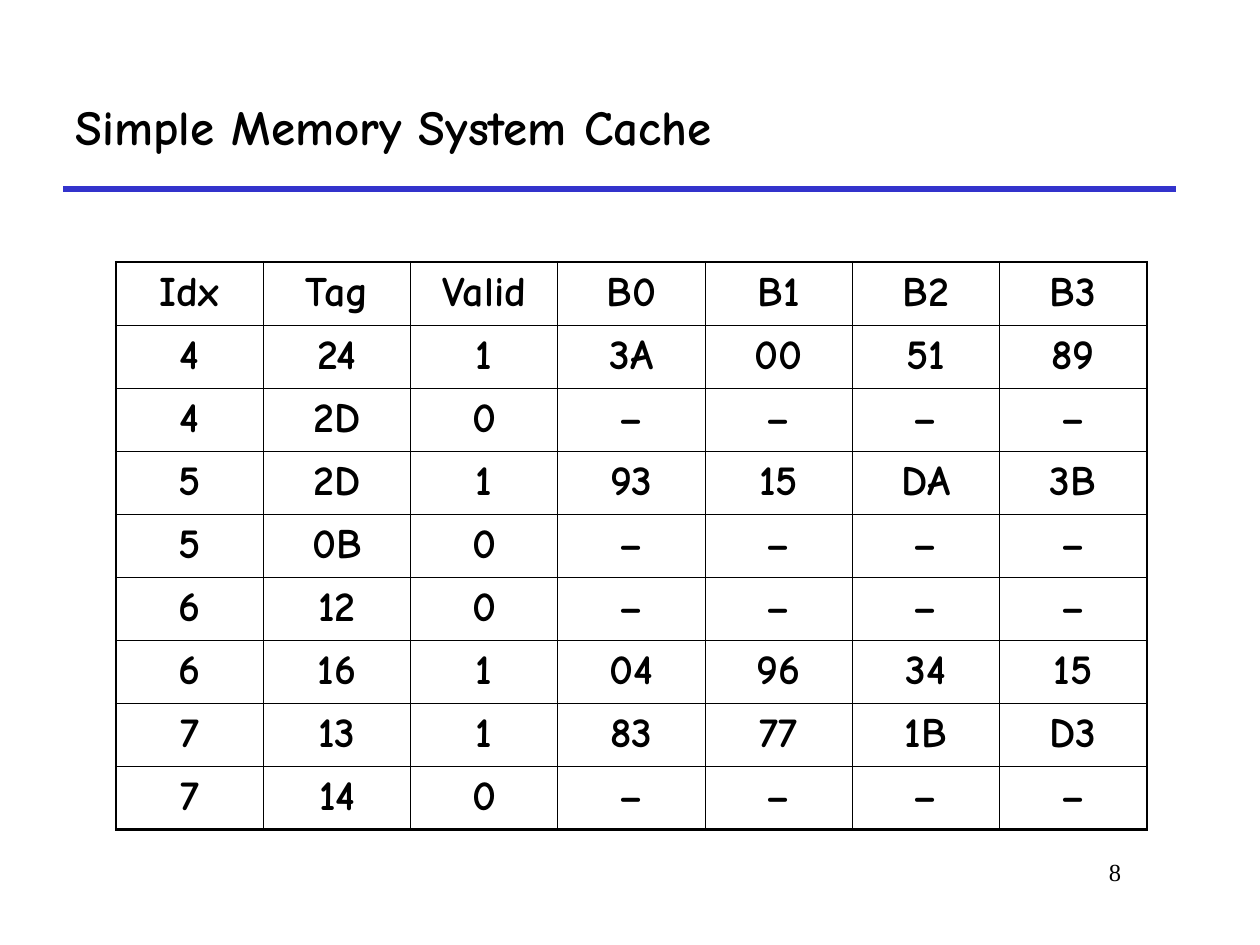
from lxml.etree import SubElement
from pptx import Presentation
from pptx.dml.color import RGBColor
from pptx.enum.shapes import MSO_CONNECTOR
from pptx.enum.text import MSO_ANCHOR, PP_ALIGN
from pptx.oxml.ns import qn
from pptx.util import Cm, Pt

INK = {"text": "000000", "rule": "3333CC"}
COMIC = "Comic Neue"
THIN, THICK = 0.45, 1.47
ROWS = [
    ["Idx", "Tag", "Valid", "B0", "B1", "B2", "B3"],
    ["4", "24", "1", "3A", "00", "51", "89"],
    ["4", "2D", "0", "–", "–", "–", "–"],
    ["5", "2D", "1", "93", "15", "DA", "3B"],
    ["5", "0B", "0", "–", "–", "–", "–"],
    ["6", "12", "0", "–", "–", "–", "–"],
    ["6", "16", "1", "04", "96", "34", "15"],
    ["7", "13", "1", "83", "77", "1B", "D3"],
    ["7", "14", "0", "–", "–", "–", "–"],
]


def write(frame, text, size, font, align, bold=False):
    """Put one formatted run into the first paragraph of a frame."""
    para = frame.paragraphs[0]
    para.alignment = align
    run = para.add_run()
    run.text = text
    run.font.size = Pt(size)
    run.font.name = font
    run.font.bold = bold
    run.font.color.rgb = RGBColor.from_string(INK["text"])
    return para


def place(shape, left, top, width, height):
    """Set the position and size of a shape in centimetres."""
    shape.left, shape.top = Cm(left), Cm(top)
    shape.width, shape.height = Cm(width), Cm(height)


def add_title(slide, text):
    """Fill the title placeholder."""
    title = slide.shapes.title
    place(title, 1.27, 1.27, 22.43, 2.54)
    title.text_frame.vertical_anchor = MSO_ANCHOR.MIDDLE
    write(title.text_frame, text, 28, COMIC, PP_ALIGN.LEFT, True)


def add_rule(slide):
    """Draw the line under the title."""
    rule = slide.shapes.add_connector(
        MSO_CONNECTOR.STRAIGHT, Cm(1.27), Cm(3.81), Cm(23.7), Cm(3.81))
    rule.line.color.rgb = RGBColor.from_string(INK["rule"])
    rule.line.width = Pt(3)
    SubElement(rule.element.spPr, qn("a:effectLst"))


def add_edge(cell, side, width):
    """Draw one border of a cell."""
    props = cell._tc.get_or_add_tcPr()
    edge = SubElement(props, qn(f"a:ln{side}"), w=str(Pt(width)))
    fill = SubElement(edge, qn("a:solidFill"))
    SubElement(fill, qn("a:srgbClr"), val=INK["text"])


def add_grid(slide, rows):
    """Add the cache table with a thick frame and thin inner lines."""
    high, wide = len(rows), len(rows[0])
    table = slide.shapes.add_table(
        high, wide, Cm(2.34), Cm(5.28), Cm(20.78), Cm(11.38)).table
    table.first_row = table.horz_banding = False
    for r, row in enumerate(rows):
        for c, text in enumerate(row):
            cell = table.cell(r, c)
            outer = {"L": c == 0, "R": c == wide - 1,
                     "T": r == 0, "B": r == high - 1}
            for side, thick in outer.items():
                add_edge(cell, side, THICK if thick else THIN)
            cell.fill.background()
            para = write(cell.text_frame, text, 24, COMIC,
                         PP_ALIGN.CENTER, True)
            para.space_before = Pt(6)


def add_number(slide, text):
    """Add the page number."""
    box = slide.shapes.add_textbox(Cm(19.25), Cm(17.15), Cm(3.6), Cm(1.27))
    box.text_frame.word_wrap = True
    write(box.text_frame, text, 14, "Times New Roman", PP_ALIGN.RIGHT)


def main():
    """Build and save the slide."""
    deck = Presentation()
    deck.slide_width, deck.slide_height = Cm(25.4), Cm(19.05)
    slide = deck.slides.add_slide(deck.slide_layouts[5])
    add_rule(slide)
    add_number(slide, "8")
    add_title(slide, "Simple Memory System Cache")
    add_grid(slide, ROWS)
    deck.save("out.pptx")


main()
